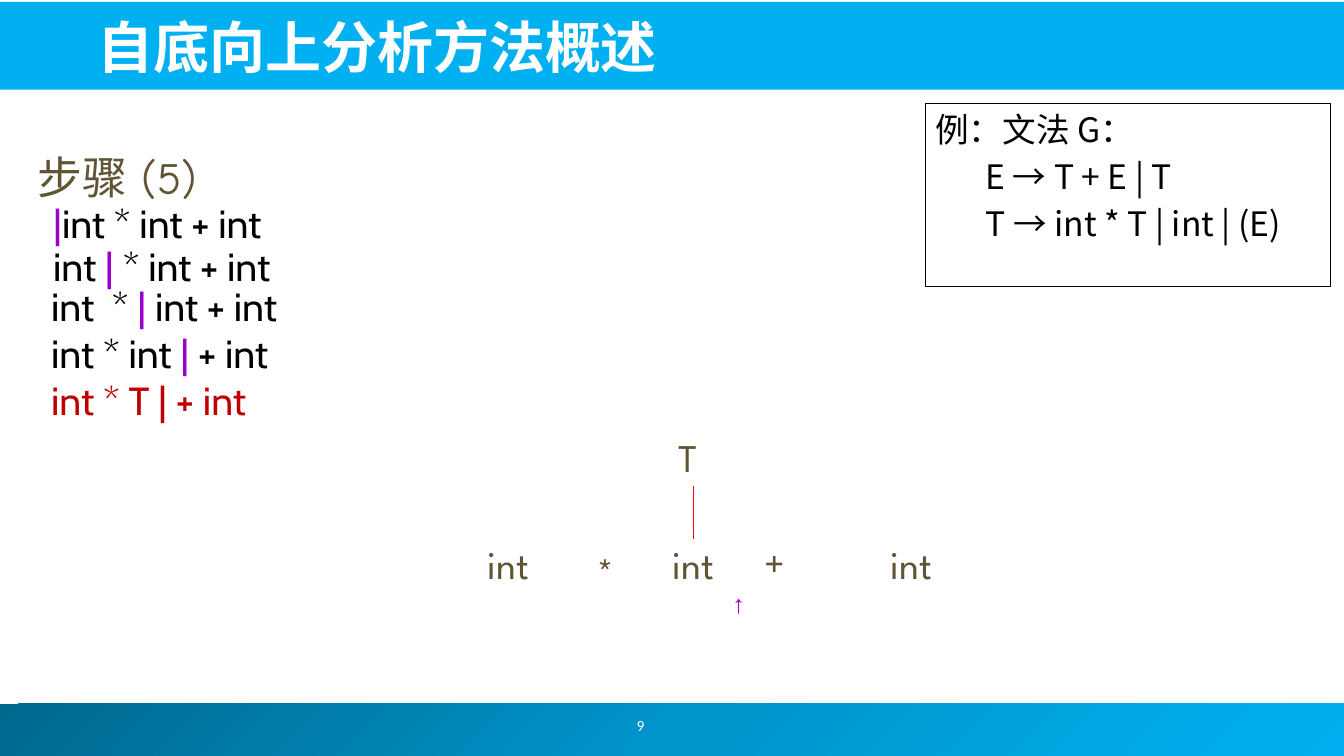
from copy import deepcopy

from lxml import etree
from pptx import Presentation
from pptx.dml.color import RGBColor
from pptx.enum.shapes import MSO_CONNECTOR, MSO_SHAPE
from pptx.enum.text import MSO_ANCHOR, MSO_AUTO_SIZE, PP_ALIGN
from pptx.oxml.ns import qn
from pptx.util import Cm, Pt

RECT, STRAIGHT = MSO_SHAPE.RECTANGLE, MSO_CONNECTOR.STRAIGHT
TOP, MIDDLE, BOTTOM = MSO_ANCHOR.TOP, MSO_ANCHOR.MIDDLE, MSO_ANCHOR.BOTTOM
LEFT, CENTER = PP_ALIGN.LEFT, PP_ALIGN.CENTER
GROW = MSO_AUTO_SIZE.SHAPE_TO_FIT_TEXT

WHITE = RGBColor(0xFF, 0xFF, 0xFF)
BLACK = RGBColor(0x00, 0x00, 0x00)
SKY = RGBColor(0x00, 0xB0, 0xF0)
MID_BLUE = RGBColor(0x00, 0x94, 0xCA)
DEEP_BLUE = RGBColor(0x00, 0x68, 0x8E)
OLIVE = RGBColor(0x60, 0x54, 0x35)
PURPLE = RGBColor(0x99, 0x00, 0xCC)
DARK_RED = RGBColor(0xC0, 0x00, 0x00)
RED = RGBColor(0xFF, 0x00, 0x00)

CJK, STEP_FONT, TREE_FONT = "Noto Sans CJK JP", "Cabin", "League Spartan"


def add_run(p, text, size, font, color, bold=False):
    r = p.add_run()
    r.text = text
    r.font.size, r.font.name, r.font.bold = Pt(size), font, bold
    r.font.color.rgb = color
    etree.SubElement(r.font._element, qn("a:ea"), typeface=font)


def space_before(p, percent):
    """Paragraph spacing as a share of the line, which python-pptx lacks."""
    spc = etree.SubElement(p._p.get_or_add_pPr(), qn("a:spcBef"))
    etree.SubElement(spc, qn("a:spcPct"), val=str(percent * 1000))


def add_text(slide, box, runs, size, font, anchor=TOP, align=LEFT,
             before=0, bold=False, grow=False):
    """Add a one-paragraph text box; runs are (text, colour) pairs."""
    s = slide.shapes.add_textbox(*map(Cm, box))
    tf = s.text_frame
    tf.word_wrap, tf.vertical_anchor = True, anchor
    if grow:
        tf.auto_size = GROW
    p = tf.paragraphs[0]
    p.alignment = align
    if before:
        space_before(p, before)
    for text, color in runs:
        add_run(p, text, size, font, color, bold)


def add_rect(slide, box):
    s = slide.shapes.add_shape(RECT, *map(Cm, box))
    s.shadow.inherit = False
    return s


def add_header(slide, left, top, width, height):
    s = add_rect(slide, (left, top, width, height))
    s.fill.solid()
    s.fill.fore_color.rgb = SKY
    s.line.fill.background()
    add_text(slide, (left + 2.26, top + 0.08, 30.63, 2.01),
             [("自底向上分析方法概述", WHITE)], 40, CJK, anchor=BOTTOM, bold=True)


def add_footer(slide, left, top, width, height):
    s = add_rect(slide, (left, top, width, height))
    s.line.fill.background()
    s.fill.gradient()
    s.fill.gradient_angle = 315
    stops = s._element.spPr.find(".//" + qn("a:gsLst"))
    stops.insert(1, deepcopy(stops[0]))
    for stop, position, color in zip(s.fill.gradient_stops, (0, 0.5, 1),
                                     (DEEP_BLUE, MID_BLUE, SKY)):
        stop.position = position
        stop.color.rgb = color
    add_text(slide, (left + 12.6, top - 0.08, 7.34, 1.27), [("9", WHITE)],
             11, "Calibri", anchor=MIDDLE, align=CENTER)


def add_steps(slide, left, top):
    add_text(slide, (left, top, 5.61, 2.54), [("步骤 (5)", OLIVE)],
             32, "Comic Neue", anchor=MIDDLE)
    steps = [
        (0.4, 1.72, [("|", PURPLE), ("int * int + int", BLACK)]),
        (0.4, 2.79, [("int ", BLACK), ("| ", PURPLE), ("* int + int", BLACK)]),
        (0.35, 3.81, [("int  * ", BLACK), ("| ", PURPLE), ("int + int", BLACK)]),
        (0.35, 5, [("int * int", BLACK), (" | ", PURPLE), ("+ int", BLACK)]),
        (0.35, 6.19, [("int * T | + int", DARK_RED)]),
    ]
    for dx, dy, runs in steps:
        add_text(slide, (left + dx, top + dy, 8.26, 1.27), runs, 28, STEP_FONT,
                 before=20)


def add_tree(slide, left, top):
    tokens = [("int", 0, 2.69, 1.9), ("*", 2.77, 2.87, 1.27),
              ("int", 4.67, 2.69, 1.7), ("+", 6.98, 2.64, 1.27),
              ("int", 10.16, 2.69, 1.7), ("T", 4.8, 0, 1.27)]
    for token, dx, dy, width in tokens:
        add_text(slide, (left + dx, top + dy, width, 1.45), [(token, OLIVE)],
                 28, TREE_FONT, before=50, grow=True)
    add_text(slide, (left + 6.17, top + 3.91, 1.47, 1.27), [("↑", PURPLE)],
             18, "Times New Roman", before=50, grow=True)
    x = Cm(left + 5.44)
    branch = slide.shapes.add_connector(STRAIGHT, x, Cm(top + 2.79),
                                        x, Cm(top + 1.44))
    branch.line.color.rgb, branch.line.width = RED, Pt(0.75)
    etree.SubElement(branch._element.spPr, qn("a:effectLst"))


def add_grammar(slide, *box):
    s = add_rect(slide, box)
    s.fill.background()
    s.line.color.rgb, s.line.width = BLACK, Pt(0.75)
    tf = s.text_frame
    tf.word_wrap, tf.vertical_anchor = True, TOP
    lines = [("例：文法 G：", 0, 0.97, -0.97),
             ("E → T + E | T", 1, 2.06, -0.79),
             ("T → int * T | int | (E)", 1, 2.06, -0.79)]
    for i, (text, level, margin, indent) in enumerate(lines):
        p = tf.add_paragraph() if i else tf.paragraphs[0]
        p.alignment, p.level = LEFT, level
        pPr = p._p.get_or_add_pPr()
        pPr.set("marL", str(Cm(margin)))
        pPr.set("indent", str(Cm(indent)))
        space_before(p, 20)
        add_run(p, text, 24, CJK, BLACK)


def main():
    prs = Presentation()
    prs.slide_width, prs.slide_height = Cm(33.87), Cm(19.05)
    slide = prs.slides.add_slide(prs.slide_layouts[6])
    add_footer(slide, -0.13, 17.73, 34.01, 1.32)
    add_header(slide, -0.05, 0.05, 33.93, 2.21)
    add_tree(slide, 12.04, 10.8)
    add_grammar(slide, 23.32, 2.62, 10.21, 4.6)
    add_steps(slide, 0.69, 3.18)
    prs.save("out.pptx")


if __name__ == "__main__":
    main()
